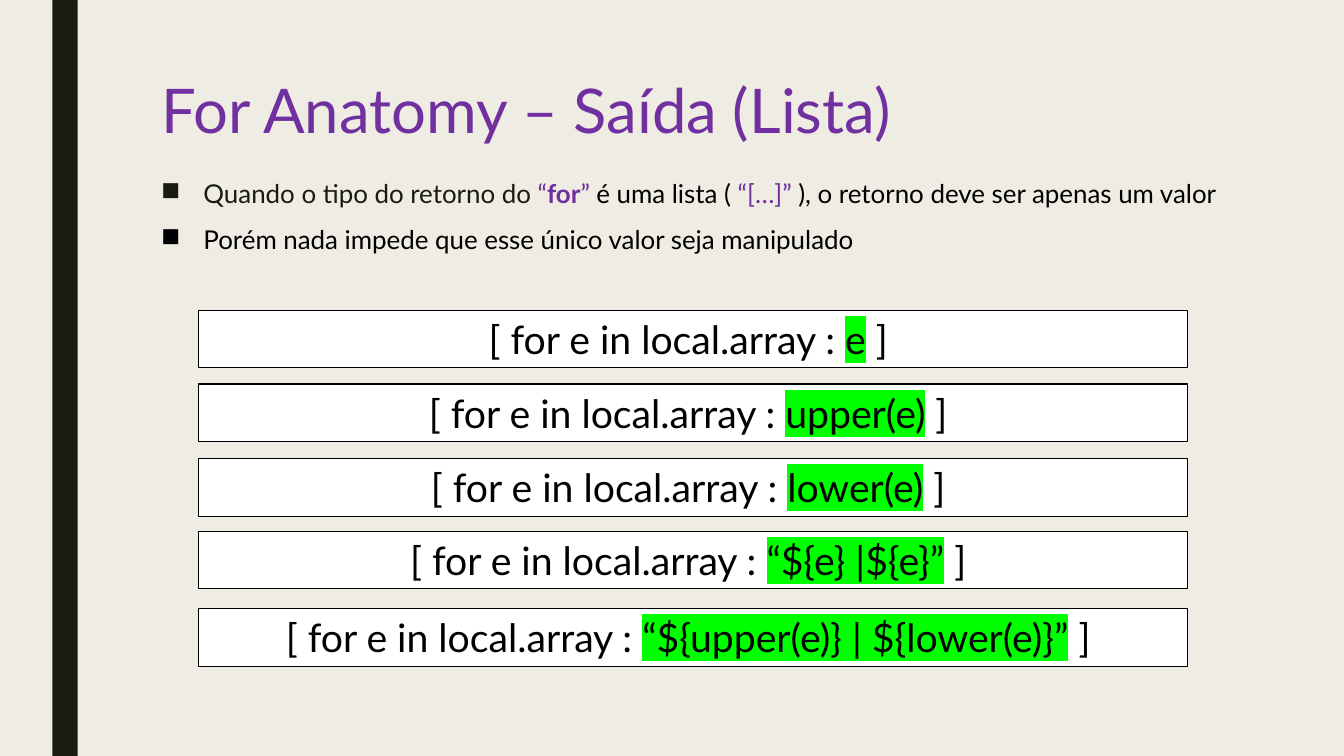
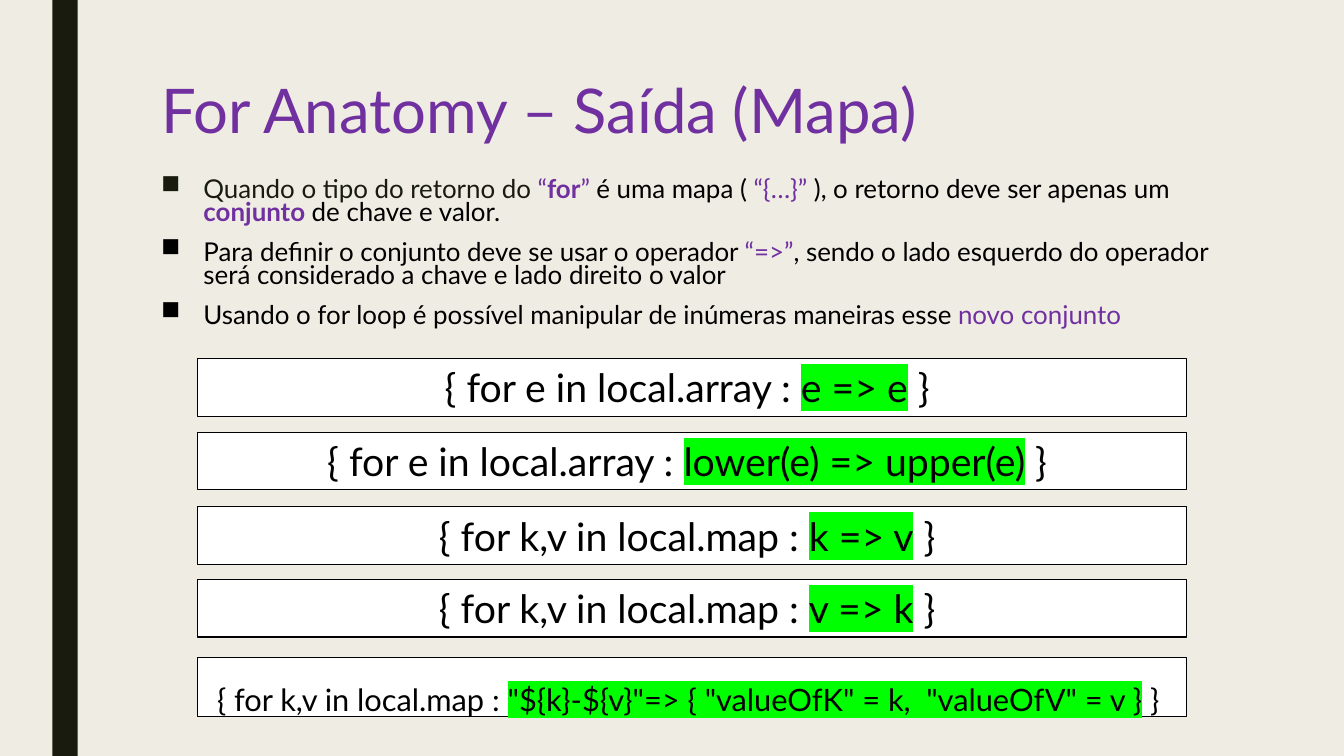
import pptx
import pptx.dml.color
import pptx.enum.shapes
import pptx.enum.text
import pptx.oxml
import pptx.oxml.ns
import pptx.util

Inches = pptx.util.Inches
Pt = pptx.util.Pt
FONT = "Lato"
PAPER, INK, BLACK, WHITE = "EFEDE3", "191B0E", "000000", "FFFFFF"
PURPLE, GREEN = "7030A0", "00FF00"
ROW_OFFSETS = (0, 0.73, 1.47, 2.19, 2.96)

STYLES = {
    "title": {"size": Pt(44), "color": PURPLE},
    "ink": {"size": Pt(18.5), "color": INK},
    "body": {"size": Pt(18.5), "color": BLACK},
    "accent": {"size": Pt(18.5), "color": PURPLE},
    "strong": {"size": Pt(18.5), "color": PURPLE, "bold": True},
}


def rgb(hex_code):
    """Turn a hex string into a colour."""
    return pptx.dml.color.RGBColor.from_string(hex_code)


def set_all(target, values):
    """Set every attribute named in a dict."""
    for name, value in values.items():
        setattr(target, name, value)


def add_run(paragraph, text, color, highlight=None, **font_values):
    """Add a run of text with its colour, font and optional highlight."""
    run = paragraph.add_run()
    run.text = text
    set_all(run.font, {"name": FONT, **font_values})
    run.font.color.rgb = rgb(color)
    if highlight:
        marker = pptx.oxml.parse_xml(
            f'<a:highlight {pptx.oxml.ns.nsdecls("a")}><a:srgbClr val="{highlight}"/></a:highlight>')
        run.font.fill._xPr.find(pptx.oxml.ns.qn("a:solidFill")).addnext(marker)


def add_bullet(paragraph):
    """Give a paragraph a square bullet with a hanging indent."""
    properties = paragraph._p.get_or_add_pPr()
    properties.set("marL", str(Inches(0.42)))
    properties.set("indent", str(Inches(-0.42)))
    properties.append(pptx.oxml.parse_xml(
        f'<a:buChar {pptx.oxml.ns.nsdecls("a")} char="■"/>'))


def add_rect(slide, box, fill, outline=None):
    """Add a flat rectangle, outlined only when a colour is given."""
    rect = slide.shapes.add_shape(
        pptx.enum.shapes.MSO_SHAPE.RECTANGLE, *map(Inches, box))
    rect.shadow.inherit = False
    rect.fill.solid()
    rect.fill.fore_color.rgb = rgb(fill)
    if outline:
        rect.line.color.rgb = rgb(outline)
        rect.line.width = Pt(0.75)
    else:
        rect.line.fill.background()
    return rect


def add_text(slide, box, paragraphs, spacing, bulleted=False):
    """Add a top-anchored text box of styled paragraphs."""
    frame = slide.shapes.add_textbox(*map(Inches, box)).text_frame
    set_all(frame, {"word_wrap": True,
                    "vertical_anchor": pptx.enum.text.MSO_ANCHOR.TOP})
    for index, runs in enumerate(paragraphs):
        paragraph = frame.add_paragraph() if index else frame.paragraphs[0]
        set_all(paragraph, spacing)
        if bulleted:
            add_bullet(paragraph)
        for text, style in runs:
            add_run(paragraph, text, **STYLES[style])


def add_expression(slide, box, parts, size=28, line_spacing=None):
    """Add a white row whose middle part is highlighted."""
    frame = add_rect(slide, box, WHITE, BLACK).text_frame
    set_all(frame, {"word_wrap": True,
                    "vertical_anchor": pptx.enum.text.MSO_ANCHOR.TOP,
                    "auto_size": pptx.enum.text.MSO_AUTO_SIZE.SHAPE_TO_FIT_TEXT})
    paragraph = frame.paragraphs[0]
    set_all(paragraph, {"alignment": pptx.enum.text.PP_ALIGN.CENTER,
                        "line_spacing": line_spacing})
    for text, highlight in zip(parts, (None, GREEN, None)):
        add_run(paragraph, text, BLACK, highlight, size=Pt(size))


def add_anatomy_slide(deck, title, bullets, body_height, body_spacing, origin, rows):
    """Add a slide with band, title, bullets and a stack of expressions."""
    slide = deck.slides.add_slide(deck.slide_layouts[6])
    add_rect(slide, (0.52, 0, 0.25, 7.5), INK)
    add_text(slide, (1.5, 0.75, 10.5, 1.62), [[(title, "title")]],
             {"line_spacing": 0.89})
    add_text(slide, (1.5, 1.74, 10.76, body_height), bullets,
             {"line_spacing": body_spacing, "space_before": Pt(10),
              "space_after": Pt(2)}, bulleted=True)
    left, top = origin
    for offset, (parts, height, text_format) in zip(ROW_OFFSETS, rows):
        add_expression(slide, (left, top + offset, 9.81, height), parts, **text_format)


def list_row(value):
    """Describe a list expression that returns one value."""
    return ("[ for e in local.array : ", value, " ] "), 0.57, {}


def map_row(source, pair, height=0.57, **text_format):
    """Describe a map expression that returns a key and value pair."""
    return (f"{{ for {source} : ", pair, " } "), height, text_format


LIST_BULLETS = [
    [("Quando o tipo do retorno do ", "ink"), ("“", "accent"), ("for", "strong"),
     ("” ", "accent"), ("é uma lista ( ", "body"), ("“[…]” ", "accent"),
     ("), o retorno deve ser apenas um valor", "body")],
    [("Porém nada impede que esse único valor seja manipulado", "body")],
]
LIST_VALUES = ("e", "upper(e)", "lower(e)", "“${e} |${e}”",
               "“${upper(e)} | ${lower(e)}”")
MAP_BULLETS = [
    [("Quando o tipo do retorno do ", "ink"), ("“", "accent"), ("for", "strong"),
     ("” ", "accent"), ("é uma mapa ( ", "body"), ("“{…}” ", "accent"),
     ("), o retorno deve ser apenas um ", "body"), ("conjunto", "strong"),
     (" de chave e valor.", "body")],
    [("Para definir o conjunto deve se usar o operador ", "body"),
     ("“=>”", "accent"),
     (", sendo o lado esquerdo do operador será considerado a chave "
      "e lado direito o valor ", "body")],
    [("Usando o for loop é possível manipular de inúmeras maneiras esse ", "body"),
     ("novo conjunto", "accent")],
]
MAP_ROWS = [
    map_row("e in local.array", "e => e"),
    map_row("e in local.array", "lower(e) => upper(e)"),
    map_row("k,v in local.map", "k => v"),
    map_row("k,v in local.map", "v => k"),
    map_row("k,v in local.map",
            '"${k}-${v}"=> { "valueOfK" = k,  "valueOfV" = v }',
            height=0.59, size=22, line_spacing=1.5),
]

deck = pptx.Presentation()
set_all(deck, {"slide_width": Inches(13.33), "slide_height": Inches(7.5)})
paper = deck.slide_master.background.fill
paper.solid()
paper.fore_color.rgb = rgb(PAPER)

add_anatomy_slide(deck, "For Anatomy – Saída (Lista)", LIST_BULLETS, 1.03, 0.94,
                  (1.97, 3.08), map(list_row, LIST_VALUES))
add_anatomy_slide(deck, "For Anatomy – Saída (Mapa)", MAP_BULLETS, 1.62, 0.74,
                  (1.96, 3.56), MAP_ROWS)
deck.save("out.pptx")
